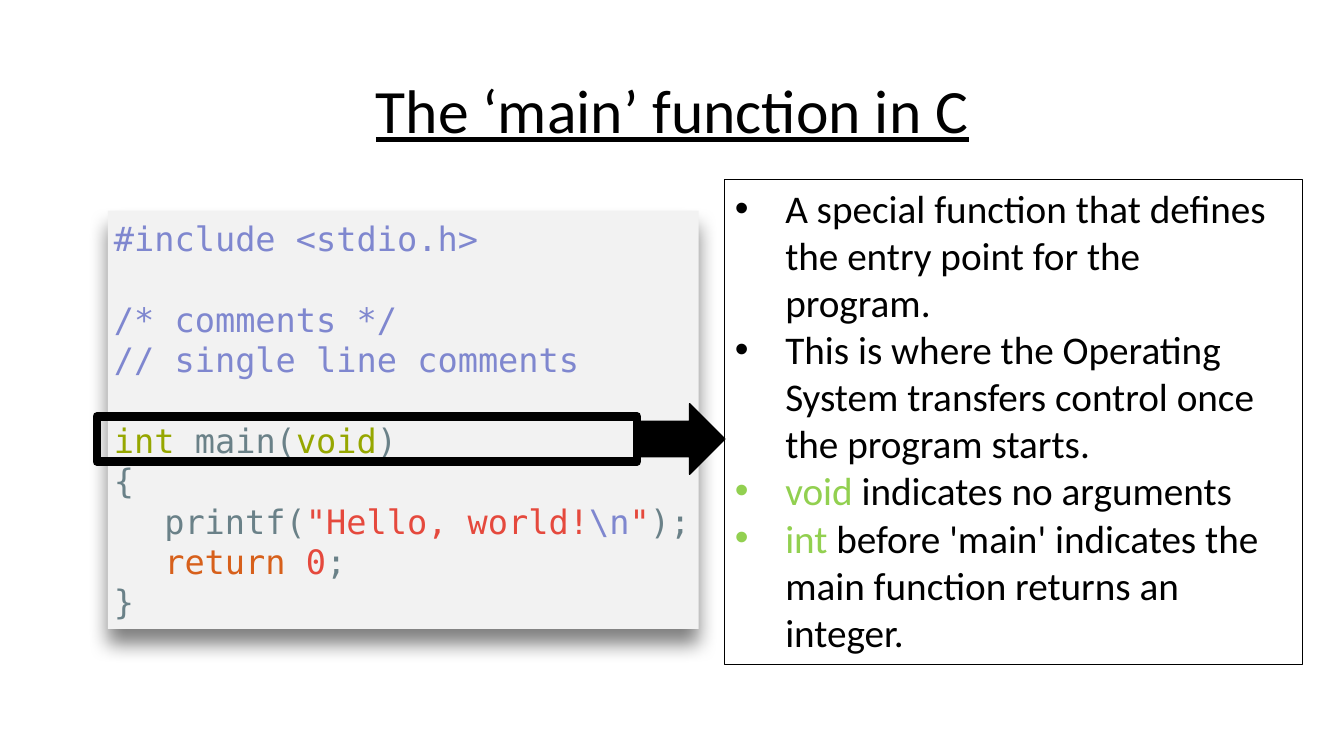
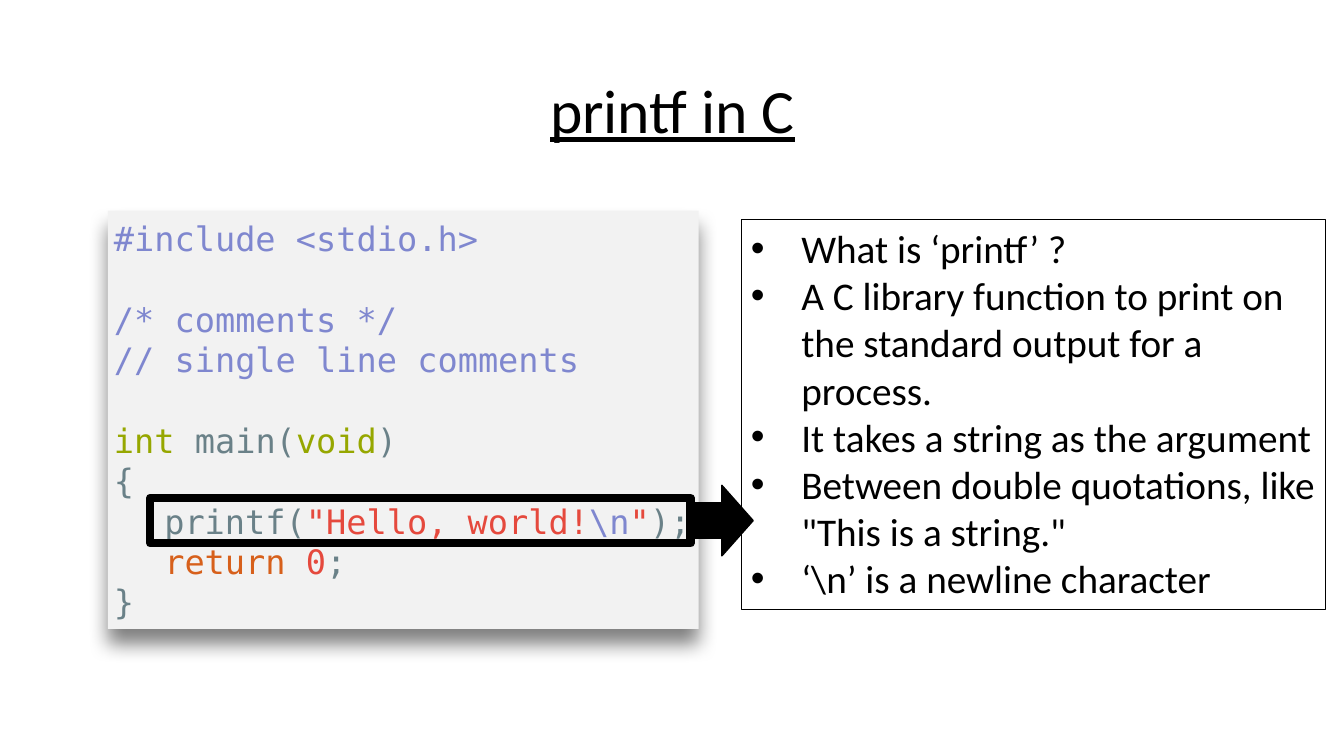
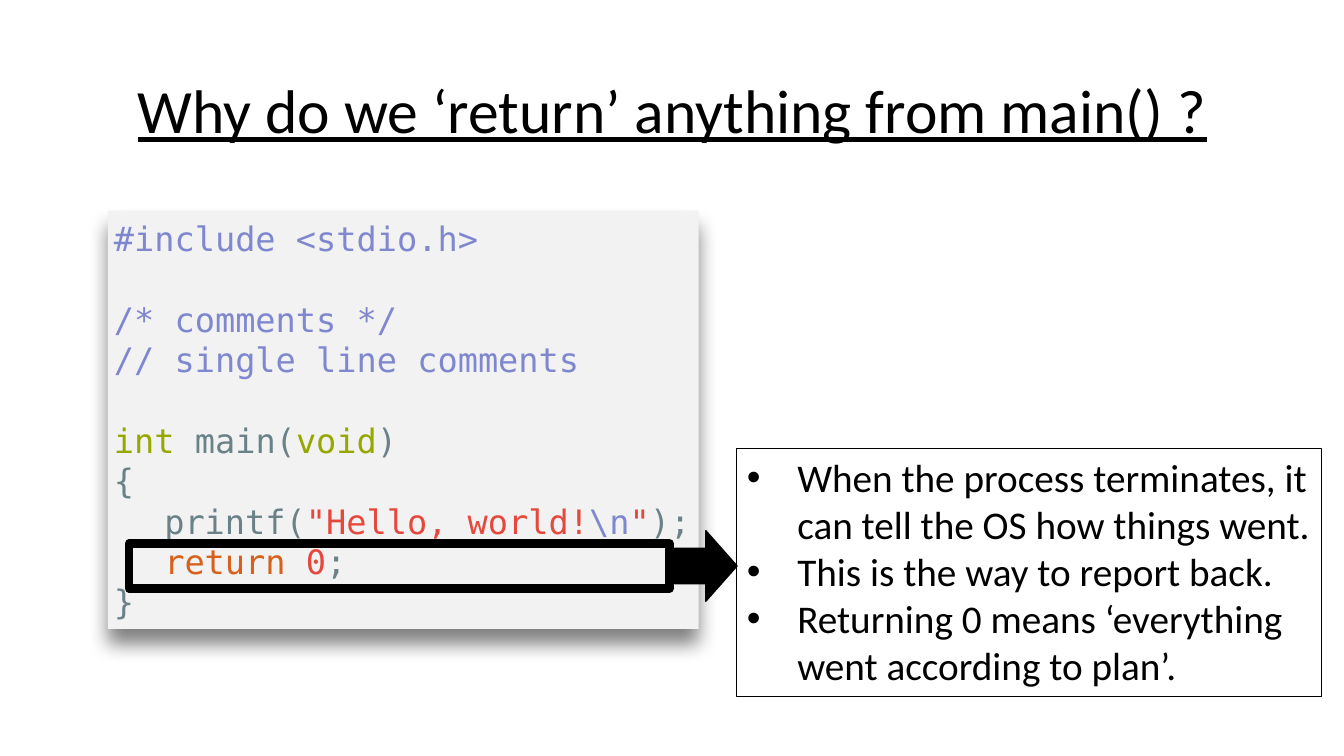
from dataclasses import dataclass
from lxml import etree
from pptx import Presentation
from pptx.dml.color import RGBColor
from pptx.enum.shapes import MSO_SHAPE as Preset
from pptx.enum.text import MSO_ANCHOR as Anchor, MSO_AUTO_SIZE as AutoSize, PP_ALIGN as Align
from pptx.oxml.ns import qn
from pptx.util import Inches, Pt


@dataclass(frozen=True)
class Theme:
    black: str = "000000"
    panel: str = "F2F2F2"
    highlight: str = "92D050"
    comment: str = "7F87CF"
    type_name: str = "96A700"
    plain: str = "6A8188"
    string: str = "E5493D"
    keyword: str = "D7601B"
    body_font: str = "Calibri"
    code_font: str = "DejaVu Sans Mono"
    title_size: int = 44
    body_size: int = 28
    code_size: int = 24
    code_line: float = 28.8


@dataclass(frozen=True)
class CodeLine:
    runs: list
    gap: bool = False
    indent: float = 0


THEME = Theme()

CODE = [
    CodeLine([("#include <stdio.h>", THEME.comment)]),
    CodeLine([("/* comments */", THEME.comment)], gap=True),
    CodeLine([("// single line comments", THEME.comment)]),
    CodeLine([("int ", THEME.type_name), ("main(", THEME.plain),
              ("void", THEME.type_name), (")", THEME.plain)], gap=True),
    CodeLine([("{", THEME.plain)]),
    CodeLine([("printf(", THEME.plain), ('"Hello, world!', THEME.string),
              (r"\n", THEME.comment), ('"', THEME.string), (");", THEME.plain)], indent=0.5),
    CodeLine([("return ", THEME.keyword), ("0", THEME.string), (";", THEME.plain)], indent=0.5),
    CodeLine([("}", THEME.plain)]),
]

SLIDES = [
    {
        "title": "The ‘main’ function in C",
        "notes_box": (7.19, 1.78, 5.73, 4.81),
        "frame": (0.96, 4.13),
        "arrow": (6.33, 0.86),
        "bullets": [
            [("A special function that defines the entry point for the program.", THEME.black)],
            [("This is where the Operating System transfers control once the program starts.",
              THEME.black)],
            [("void", THEME.highlight), (" indicates no arguments", THEME.black)],
            [("int", THEME.highlight),
             (" before 'main' indicates the main function returns an integer.", THEME.black)],
        ],
    },
    {
        "title": "printf in C",
        "notes_box": (7.35, 2.18, 5.8, 3.87),
        "frame": (1.49, 4.94),
        "arrow": (6.85, 0.62),
        "bullets": [
            [("What is ‘printf’ ?", THEME.black)],
            [("A C library function to print on the standard output for a process.", THEME.black)],
            [("It takes a string as the argument", THEME.black)],
            [('Between double quotations, like "This is a string."', THEME.black)],
            [(r"‘\n’ is a newline character", THEME.black)],
        ],
    },
    {
        "title": "Why do we ‘return’ anything from main() ?",
        "notes_box": (7.31, 4.45, 5.8, 2.46),
        "frame": (1.28, 5.39),
        "arrow": (6.69, 0.62),
        "bullets": [
            [("When the process terminates, it can tell the OS how things went.", THEME.black)],
            [("This is the way to report back.", THEME.black)],
            [("Returning 0 means ‘everything went according to plan’.", THEME.black)],
        ],
    },
]


def set_values(target, values):
    for name, value in values.items():
        setattr(target, name, value)


def box(left, top, width, height):
    return [Inches(length) for length in (left, top, width, height)]


class Deck:
    FRAME_WIDTH, FRAME_HEIGHT, ARROW_HEIGHT = 5.36, 0.45, 0.7

    def __init__(self, theme):
        self.theme = theme
        self.presentation = Presentation()
        set_values(self.presentation,
                   {"slide_width": Inches(13.33), "slide_height": Inches(7.5)})
        self.slide = None

    def new_slide(self):
        self.slide = self.presentation.slides.add_slide(self.presentation.slide_layouts[6])

    def text_box(self, place, **frame_values):
        shape = self.slide.shapes.add_textbox(*box(*place))
        set_values(shape.text_frame, {"word_wrap": True, **frame_values})
        return shape

    def paragraphs(self, text_frame, lines, **font_values):
        """Write one paragraph per list of (text, colour) runs and return them all."""
        for index, runs in enumerate(lines):
            paragraph = text_frame.add_paragraph() if index else text_frame.paragraphs[0]
            for text, colour in runs:
                run = paragraph.add_run()
                run.text = text
                set_values(run.font, font_values)
                run.font.color.rgb = RGBColor.from_string(colour)
        return text_frame.paragraphs

    def indent(self, paragraph, left, first=0):
        properties = paragraph._p.get_or_add_pPr()
        properties.set("marL", str(Inches(left)))
        properties.set("indent", str(Inches(first)))
        return properties

    def title(self, text):
        shape = self.text_box((0.92, 0.4, 11.5, 1.45), vertical_anchor=Anchor.MIDDLE)
        paragraph, = self.paragraphs(
            shape.text_frame, [[(text, self.theme.black)]], name=self.theme.body_font,
            size=Pt(self.theme.title_size), underline=True)
        set_values(paragraph, {"alignment": Align.CENTER, "line_spacing": 0.9})

    def code_panel(self, code):
        margins = {f"margin_{side}": Inches(0.06) for side in ("left", "top", "right", "bottom")}
        shape = self.text_box((1.07, 2.09, 5.86, 4.15), word_wrap=False,
                              auto_size=AutoSize.SHAPE_TO_FIT_TEXT,
                              vertical_anchor=Anchor.MIDDLE, **margins)
        shape.fill.solid()
        shape.fill.fore_color.rgb = RGBColor.from_string(self.theme.panel)
        self.drop_shadow(shape)
        paragraphs = self.paragraphs(shape.text_frame, [line.runs for line in code],
                                     name=self.theme.code_font, size=Pt(self.theme.code_size))
        for paragraph, line in zip(paragraphs, code):
            if line.gap:
                paragraph.space_before = Pt(self.theme.code_line)
            if line.indent:
                self.indent(paragraph, line.indent)

    def drop_shadow(self, shape):
        effects = etree.SubElement(shape._element.spPr, qn("a:effectLst"))
        shadow = etree.SubElement(effects, qn("a:outerShdw"), blurRad=str(Pt(14)),
                                  dist=str(Pt(11)), dir="5400000", rotWithShape="0")
        colour = etree.SubElement(shadow, qn("a:srgbClr"), val=self.theme.black)
        etree.SubElement(colour, qn("a:alpha"), val="50000")

    def bullet_box(self, place, bullets):
        shape = self.text_box(place, auto_size=AutoSize.SHAPE_TO_FIT_TEXT)
        self.outline(shape, 0.75)
        for paragraph in self.paragraphs(shape.text_frame, bullets, name=self.theme.body_font,
                                         size=Pt(self.theme.body_size)):
            properties = self.indent(paragraph, 0.5, -0.5)
            etree.SubElement(properties, qn("a:buFont"), typeface="Arial")
            etree.SubElement(properties, qn("a:buChar"), char="•")

    def outline(self, shape, width):
        shape.line.color.rgb = RGBColor.from_string(self.theme.black)
        shape.line.width = Pt(width)

    def preset(self, kind, place, line_width):
        shape = self.slide.shapes.add_shape(kind, *box(*place))
        shape.shadow.inherit = False
        self.outline(shape, line_width)
        return shape

    def callout(self, frame, arrow):
        """Frame one line of code and point an arrow from it to the bullets."""
        left, top = frame
        marker = self.preset(Preset.RECTANGLE,
                             (left, top, self.FRAME_WIDTH, self.FRAME_HEIGHT), 6)
        marker.fill.background()
        arrow_left, arrow_width = arrow
        arrow_top = top + (self.FRAME_HEIGHT - self.ARROW_HEIGHT) / 2
        pointer = self.preset(Preset.RIGHT_ARROW,
                              (arrow_left, arrow_top, arrow_width, self.ARROW_HEIGHT), 1)
        pointer.fill.solid()
        pointer.fill.fore_color.rgb = RGBColor.from_string(self.theme.black)


def main():
    deck = Deck(THEME)
    for content in SLIDES:
        deck.new_slide()
        deck.title(content["title"])
        deck.code_panel(CODE)
        deck.bullet_box(content["notes_box"], content["bullets"])
        deck.callout(content["frame"], content["arrow"])
    deck.presentation.save("out.pptx")


if __name__ == "__main__":
    main()
